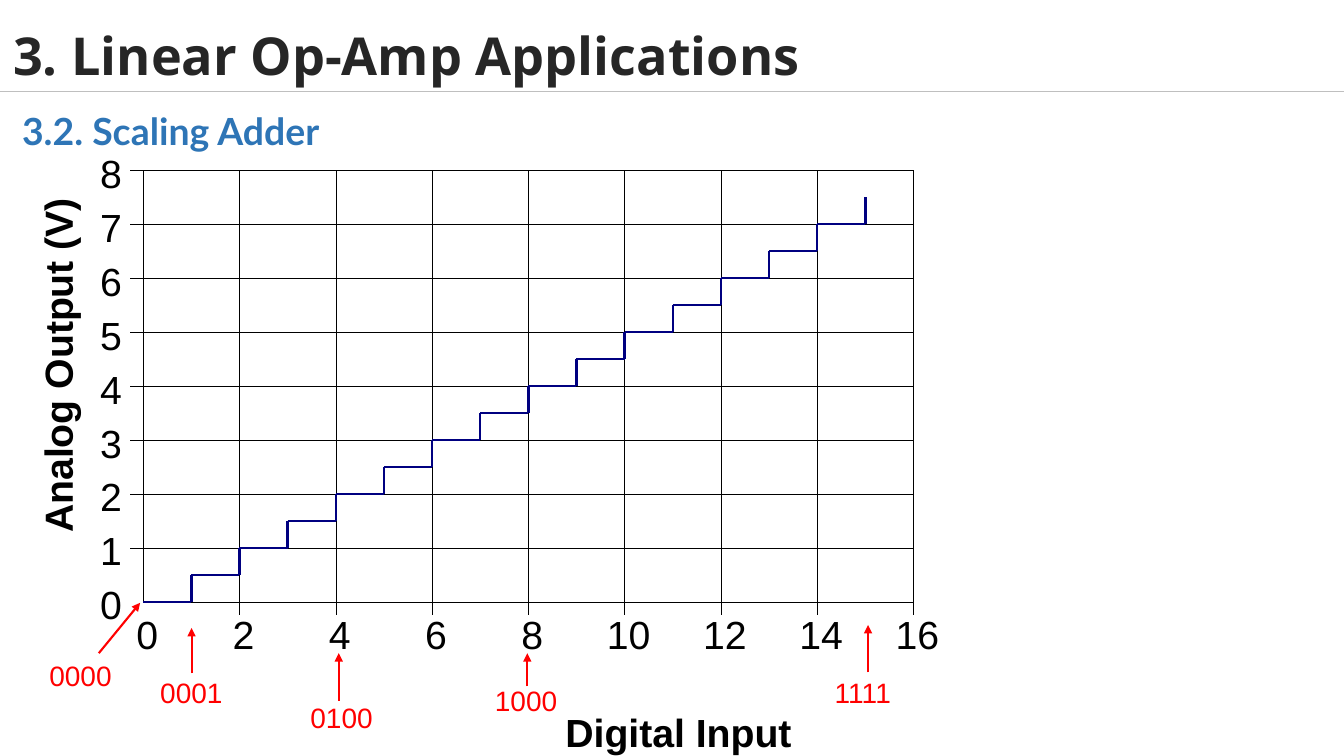
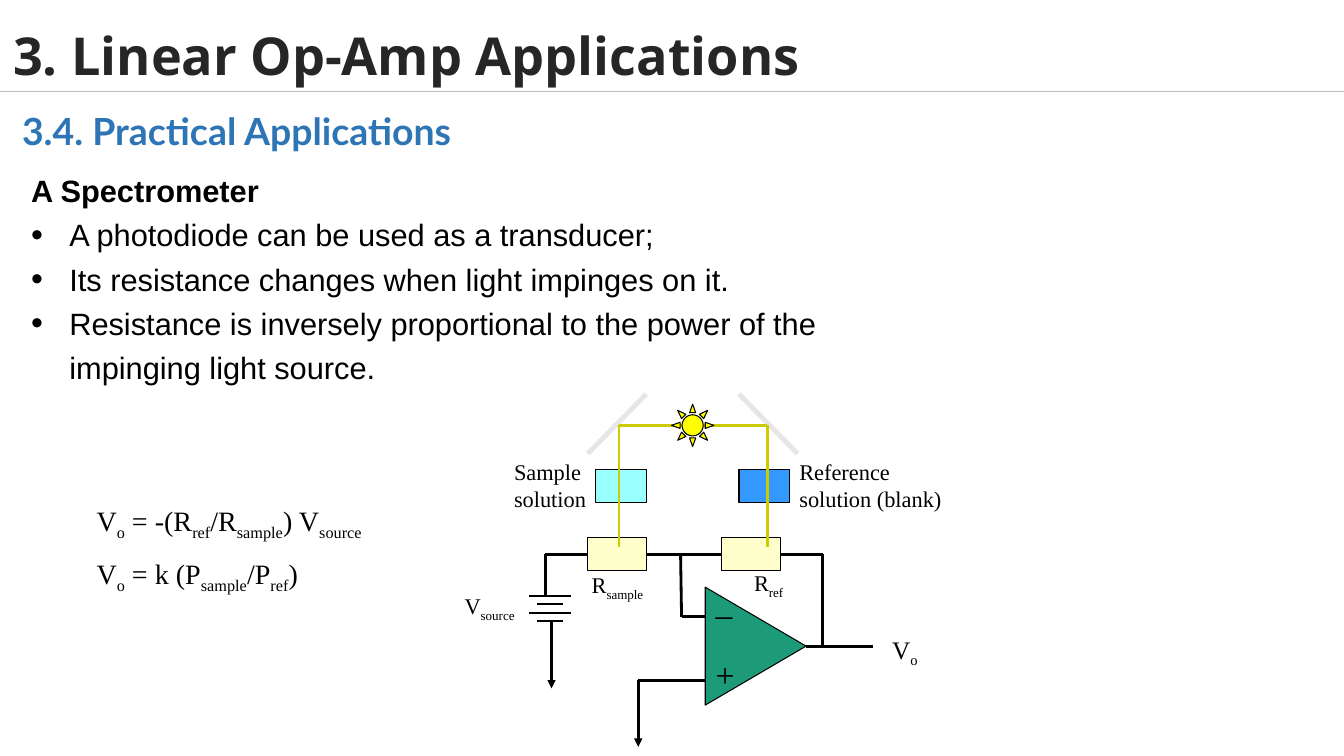
import itertools

import pptx
import pptx.dml.color
import pptx.enum.shapes
import pptx.enum.text
import pptx.oxml.ns
import pptx.util
from lxml import etree

Inches = pptx.util.Inches
Pt = pptx.util.Pt
RGBColor = pptx.dml.color.RGBColor
SHAPE = pptx.enum.shapes.MSO_SHAPE
ALIGN = pptx.enum.text.PP_ALIGN
ANCHOR = pptx.enum.text.MSO_ANCHOR
qn = pptx.oxml.ns.qn

BLACK = RGBColor(0x00, 0x00, 0x00)
TITLE_GREY = RGBColor(0x26, 0x26, 0x26)
RULE_GREY = RGBColor(0xBF, 0xBF, 0xBF)
HEADING_BLUE = RGBColor(0x2E, 0x75, 0xB6)
NAVY = RGBColor(0x00, 0x00, 0x80)
RED = RGBColor(0xFF, 0x00, 0x00)
GREEN = RGBColor(0x1D, 0x9A, 0x78)
CREAM = RGBColor(0xFF, 0xFF, 0xCC)
CYAN = RGBColor(0x99, 0xFF, 0xFF)
SKY_BLUE = RGBColor(0x33, 0x99, 0xFF)
YELLOW = RGBColor(0xFF, 0xFF, 0x00)
BEAM_YELLOW = RGBColor(0xCC, 0xCC, 0x00)
MIRROR_GREY = RGBColor(0xE7, 0xE6, 0xE6)

BODY_FONT = "Arial"
CIRCUIT_FONT = "Times New Roman"
HAIRLINE = 0.25

# Plot area of the staircase
PLOT_LEFT, PLOT_TOP = 1.42, 1.69
INPUT_MAX, OUTPUT_MAX = 16, 8
INPUT_STEP, OUTPUT_STEP = 0.4775, 0.535
TICK = 0.13


def add_text(slide, box, paragraphs, size, font=BODY_FONT, color=BLACK, bold=False,
             align=ALIGN.LEFT, anchor=ANCHOR.TOP, insets=(0.1, 0.05), wrap=True,
             line_spacing=None):
    """Each paragraph is a string, or a tuple whose every second part is a subscript."""
    text_box = slide.shapes.add_textbox(*map(Inches, box))
    frame = text_box.text_frame
    frame.word_wrap = wrap
    frame.vertical_anchor = anchor
    frame.margin_left = frame.margin_right = Inches(insets[0])
    frame.margin_top = frame.margin_bottom = Inches(insets[1])
    for index, parts in enumerate(paragraphs):
        paragraph = frame.add_paragraph() if index else frame.paragraphs[0]
        paragraph.alignment = align
        paragraph.line_spacing = line_spacing
        paragraph.font.size = Pt(size)
        paragraph.font.name = font
        paragraph.font.bold = bold
        paragraph.font.color.rgb = color
        for position, part in enumerate((parts,) if isinstance(parts, str) else parts):
            run = paragraph.add_run()
            run.text = part
            if position % 2:
                run.font.size = Pt(size)
                run._r.get_or_add_rPr().set("baseline", "-25000")
    return text_box


def add_bullet(paragraph):
    indent = Inches(0.38)
    properties = paragraph._p.get_or_add_pPr()
    properties.set("marL", str(indent))
    properties.set("indent", str(-indent))
    defaults = properties.find(qn("a:defRPr"))
    for tag, name, value in (("a:buSzPct", "val", "110000"),
                             ("a:buFont", "typeface", BODY_FONT),
                             ("a:buChar", "char", "•")):
        defaults.addprevious(etree.Element(qn(tag), {name: value}))


def add_line(slide, start, end, color=BLACK, width=2.0, arrow=False):
    line = slide.shapes.add_connector(
        pptx.enum.shapes.MSO_CONNECTOR.STRAIGHT, *map(Inches, (*start, *end)))
    line.line.color.rgb = color
    line.line.width = Pt(width)
    if arrow:
        etree.SubElement(line.line._get_or_add_ln(), qn("a:tailEnd"), type="triangle")
    etree.SubElement(line._element.spPr, qn("a:effectLst"))


def add_path(slide, points, color=BLACK, width=2.0, arrow=False):
    """Join the points with lines; an arrow goes on the last one."""
    for start, end in itertools.pairwise(points):
        add_line(slide, start, end, color, width, arrow and end == points[-1])


def add_block(slide, kind, box, fill):
    block = slide.shapes.add_shape(kind, *map(Inches, box))
    block.shadow.inherit = False
    block.fill.solid()
    block.fill.fore_color.rgb = fill
    block.line.color.rgb = BLACK
    block.line.width = Pt(0.75)
    return block


def add_section_slide(deck, heading):
    slide = deck.slides.add_slide(deck.slide_layouts[6])
    add_line(slide, (0, 0.91), (13.33, 0.91), RULE_GREY, 0.5)
    add_text(slide, (0, 0.25, 13.12, 0.67), ["3. Linear Op-Amp Applications"], 37.3,
             "Open Sans", TITLE_GREY, True, anchor=ANCHOR.MIDDLE, insets=(0.13, 0.07),
             line_spacing=0.9)
    add_text(slide, (0.12, 1.07, 13.21, 0.67), [heading], 26.7, "Lato", HEADING_BLUE,
             True, line_spacing=0.9)
    return slide


def plot_point(digital, analog):
    return (PLOT_LEFT + digital * INPUT_STEP,
            PLOT_TOP + (OUTPUT_MAX - analog) * OUTPUT_STEP)


def add_axis_text(slide, center, top, width, text, bold=False):
    return add_text(slide, (center - width / 2, top, width, 0.47), [text], 28, bold=bold,
                    align=ALIGN.CENTER, insets=(0, 0), wrap=False)


def add_grid(slide):
    for volts in range(OUTPUT_MAX + 1):
        left, y = plot_point(0, volts)
        add_line(slide, (left, y), plot_point(INPUT_MAX, volts), width=HAIRLINE)
        if volts:
            add_line(slide, (left - TICK, y), (left, y), width=HAIRLINE)
        add_axis_text(slide, 1.1, y - 0.21, 0.22, str(volts))
    for code in range(0, INPUT_MAX + 1, 2):
        x, bottom = plot_point(code, 0)
        add_line(slide, plot_point(code, OUTPUT_MAX), (x, bottom), width=HAIRLINE)
        if code:
            add_line(slide, (x, bottom), (x, bottom + TICK), width=HAIRLINE)
        add_axis_text(slide, x + 0.04, 6.05, 0.22 * len(str(code)), str(code))
    add_axis_text(slide, 6.73, 7.03, 2.6, "Digital Input", bold=True)
    output_title = add_axis_text(slide, 0.57, 3.39, 3.6, "Analog Output (V)", bold=True)
    output_title.rotation = 270


def add_staircase(slide):
    corners = [plot_point(code + run, code / 2) for code in range(15) for run in (0, 1)]
    add_path(slide, corners + [plot_point(15, 7.5)], NAVY, 1.75)


def add_code_labels(slide):
    for code, left, top, start, end in (
        ("0000", 0.39, 6.48, (0.98, 6.48), (1.39, 5.98)),
        ("0001", 1.49, 6.65, (1.9, 6.68), (1.9, 6.23)),
        ("0100", 2.98, 6.9, (3.36, 6.95), (3.36, 6.48)),
        ("1000", 4.81, 6.73, (5.23, 6.81), (5.23, 6.48)),
        ("1111", 8.18, 6.65, (8.61, 6.67), (8.61, 6.2)),
    ):
        add_text(slide, (left, top, 0.95, 0.43), [code], 20, color=RED,
                 anchor=ANCHOR.MIDDLE)
        add_line(slide, start, end, RED, 1.5, arrow=True)


def add_spectrometer_text(slide):
    body = add_text(slide, (0.21, 1.47, 8.13, 2.59), [
        "A Spectrometer",
        "A photodiode can be used as a transducer;",
        "Its resistance changes when light impinges on it.",
        "Resistance is inversely proportional to the power of the impinging light source.",
    ], 22, line_spacing=1.2)
    heading, *points = body.text_frame.paragraphs
    heading.font.bold = True
    heading.line_spacing = 1.5
    for point in points:
        add_bullet(point)

    equations = add_text(slide, (0.86, 4.95, 3.67, 0.94), [
        ("V", "o", " = -(R", "ref", "/R", "sample", ") V", "source"),
        ("V", "o", " = k (P", "sample", "/P", "ref", ")"),
    ], 20, CIRCUIT_FONT)
    equations.text_frame.paragraphs[1].space_before = Pt(10)


def add_amplifier(slide):
    amplifier = add_block(slide, SHAPE.ISOSCELES_TRIANGLE, (6.91, 5.91, 1.17, 1), GREEN)
    amplifier.rotation = 90
    add_path(slide, [(6.75, 5.5), (6.76, 6.12), (7, 6.12)])
    add_path(slide, [(7, 6.75), (6.33, 6.75), (6.33, 7.41)], arrow=True)
    add_line(slide, (7.99, 6.41), (8.66, 6.41))
    add_path(slide, [(8.16, 6.41), (8.16, 5.5), (5.41, 5.5), (5.41, 5.91)])


def add_battery(slide):
    for plate in range(4):
        inset = 0.08 * (plate % 2)
        y = 5.91 + plate * 0.085
        add_line(slide, (5.25 + inset, y), (5.66 - inset, y), width=1.5)
    add_line(slide, (5.47, 6.17), (5.47, 6.83), arrow=True)


def add_optics(slide):
    for left in (5.83, 7.16):
        add_block(slide, SHAPE.RECTANGLE, (left, 5.33, 0.58, 0.33), CREAM)
    for left, solution in ((5.91, CYAN), (7.33, SKY_BLUE)):
        add_block(slide, SHAPE.RECTANGLE, (left, 4.66, 0.5, 0.33), solution)
    for inner, outer in ((6.41, 5.83), (7.33, 7.91)):
        add_line(slide, (inner, 3.91), (outer, 4.5), MIRROR_GREY, 3.5)
    add_path(slide, [(6.14, 5.43), (6.14, 4.22), (7.61, 4.22), (7.61, 5.43)], BEAM_YELLOW)
    add_block(slide, SHAPE.SUN, (6.66, 4.01, 0.42, 0.42), YELLOW)


def add_circuit_labels(slide):
    for box, size, paragraphs in (
        ((7, 6.44, 0.39, 0.5), 24, ["+"]),
        ((7, 5.83, 0.33, 0.5), 24, ["–"]),
        ((4.51, 5.83, 0.76, 0.37), 16, [("V", "source")]),
        ((8.75, 6.24, 0.47, 0.4), 18, [("V", "o")]),
        ((7.38, 5.6, 0.52, 0.37), 16, [("R", "ref")]),
        ((5.77, 5.62, 0.78, 0.37), 16, [("R", "sample")]),
        ((5, 4.5, 0.92, 0.64), 16, ["Sample", "solution"]),
        ((7.83, 4.5, 1.62, 0.64), 16, ["Reference", "solution (blank)"]),
    ):
        add_text(slide, box, paragraphs, size, CIRCUIT_FONT, wrap=False)


def main():
    deck = pptx.Presentation()
    deck.slide_width = Inches(13.33)
    deck.slide_height = Inches(7.5)

    adder = add_section_slide(deck, "3.2. Scaling Adder")
    add_grid(adder)
    add_staircase(adder)
    add_code_labels(adder)

    spectrometer = add_section_slide(deck, "3.4. Practical Applications")
    add_spectrometer_text(spectrometer)
    add_amplifier(spectrometer)
    add_battery(spectrometer)
    add_optics(spectrometer)
    add_circuit_labels(spectrometer)

    deck.save("out.pptx")


if __name__ == "__main__":
    main()
